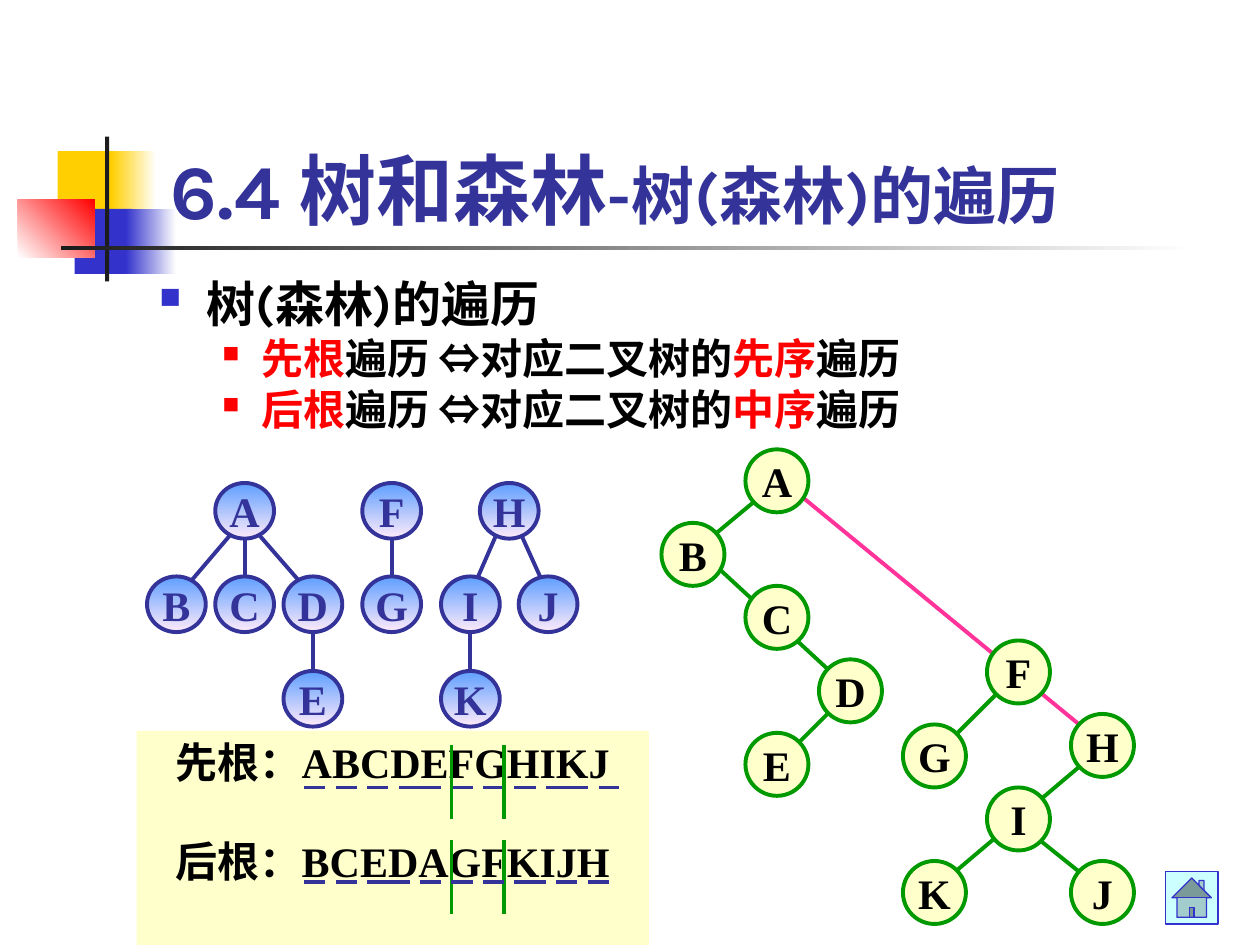
from lxml.etree import SubElement
from pptx import Presentation
from pptx.dml.color import RGBColor
from pptx.enum.shapes import MSO_CONNECTOR, MSO_SHAPE
from pptx.enum.text import MSO_ANCHOR, PP_ALIGN
from pptx.oxml.ns import qn
from pptx.util import Emu, Pt

PX = 7620
INDIGO, GREEN, PINK = "333399", "009900", "FF3399"
BLUE, YELLOW, RED = "3333CC", "FFCF01", "FF0000"
CREAM, BLACK, WHITE, DARK = "FFFFCC", "000000", "FFFFFF", "1C1C1C"
SKY = ("5E9EFF", "FFEBFA", 270)


def px(value):
    """Turn px into EMU."""
    return Emu(value * PX)


def rgb(color):
    """Turn a hex string into a colour."""
    return RGBColor.from_string(color)


class SlideBuilder:
    """Draws styled elements on one slide."""

    def __init__(self, slide, font="Karla", letter_font="Times New Roman", line_width=2.25):
        """Keep the slide and its style."""
        self.slide = slide
        self.font = font
        self.letter_font = letter_font
        self.line_width = line_width

    def shape(self, kind, box, fill, line=None, width=None):
        """Add a preset shape with a solid or (start, end, angle) fill."""
        shape = self.slide.shapes.add_shape(kind, *map(px, box))
        shape.shadow.inherit = False
        if isinstance(fill, tuple):
            shape.fill.gradient()
            shape.fill.gradient_angle = fill[2]
            for stop, color in zip(shape.fill.gradient_stops, fill):
                stop.color.rgb = rgb(color)
        else:
            shape.fill.solid()
            shape.fill.fore_color.rgb = rgb(fill)
        if line:
            shape.line.color.rgb = rgb(line)
            shape.line.width = Pt(width or self.line_width)
        else:
            shape.line.fill.background()
        return shape

    def line(self, x1, y1, x2, y2, color):
        """Add a straight line."""
        connector = self.slide.shapes.add_connector(
            MSO_CONNECTOR.STRAIGHT, *map(px, (x1, y1, x2, y2)))
        connector.line.color.rgb = rgb(color)
        connector.line.width = Pt(self.line_width)
        SubElement(connector._element.spPr, qn("a:effectLst"))

    def text_box(self, box, anchor):
        """Add a wrapping text box and return its frame."""
        frame = self.slide.shapes.add_textbox(*map(px, box)).text_frame
        frame.word_wrap = True
        frame.vertical_anchor = anchor
        return frame

    def style(self, paragraph, font, size, color=None):
        """Set the bold font shared by all runs of a paragraph."""
        paragraph.font.name = font
        paragraph.font.size = Pt(size)
        paragraph.font.bold = True
        if color:
            paragraph.font.color.rgb = rgb(color)

    def run(self, paragraph, text, color=None, size=None, font=None):
        """Add a run with its own differences."""
        run = paragraph.add_run()
        run.text = text
        if color:
            run.font.color.rgb = rgb(color)
        if size:
            run.font.size = Pt(size)
        if font:
            run.font.name = font

    def bullet(self, paragraph, color, percent, margin, indent, space):
        """Give a paragraph a square bullet and a hanging indent."""
        paragraph.line_spacing = 0.8
        paragraph.space_before = Pt(space)
        properties = paragraph._p.get_or_add_pPr()
        properties.set("marL", str(px(margin)))
        properties.set("indent", str(px(-indent)))
        marks = []
        bullet_color = SubElement(properties, qn("a:buClr"))
        SubElement(bullet_color, qn("a:srgbClr"), val=color)
        marks.append(bullet_color)
        marks.append(SubElement(properties, qn("a:buSzPct"), val=str(percent * 1000)))
        marks.append(SubElement(properties, qn("a:buChar"), char="■"))
        default = properties.find(qn("a:defRPr"))
        if default is not None:
            for mark in marks:
                default.addprevious(mark)

    def node(self, letter, center, size, fill, line, color):
        """Add a round tree node with its letter."""
        (x, y), (width, height) = center, size
        box = (x - width // 2, y - height // 2, width, height)
        frame = self.shape(MSO_SHAPE.OVAL, box, fill, line).text_frame
        frame.word_wrap = False
        frame.vertical_anchor = MSO_ANCHOR.MIDDLE
        paragraph = frame.paragraphs[0]
        paragraph.alignment = PP_ALIGN.CENTER
        self.style(paragraph, self.letter_font, 24, color)
        self.run(paragraph, letter)

    def tree(self, edges, nodes, size, fill, line, color):
        """Add the edges of a tree and then its nodes."""
        for *ends, edge_color in edges:
            self.line(*ends, edge_color)
        for letter, center in nodes.items():
            self.node(letter, center, size, fill, line, color)

    def dashes(self, x, y, widths, gap=10):
        """Add a row of underlines with equal gaps."""
        for width in widths:
            self.line(x, y, x + width, y, INDIGO)
            x += width + gap


def add_decoration(builder):
    """Draw the coloured blocks and rules beside the title."""
    for box, fill in (
        ((55, 144, 58, 62), YELLOW), ((106, 144, 43, 62), (YELLOW, WHITE, 0)),
        ((71, 199, 55, 62), BLUE), ((120, 199, 48, 62), (BLUE, WHITE, 0)),
        ((17, 190, 73, 55), (WHITE, RED, 45)), ((100, 130, 4, 138), DARK),
        ((58, 234, 1080, 4), (DARK, WHITE, 0)),
    ):
        builder.shape(MSO_SHAPE.RECTANGLE, box, fill)


def add_heading(builder):
    """Write the title and the bulleted text."""
    title = builder.text_box((151, 80, 1022, 150), MSO_ANCHOR.BOTTOM).paragraphs[0]
    builder.style(title, builder.font, 44, INDIGO)
    builder.run(title, "6.4 树和森林")
    builder.run(title, "-树(森林)的遍历", size=36)

    frame = builder.text_box((140, 265, 1040, 166), MSO_ANCHOR.TOP)
    topic = frame.paragraphs[0]
    builder.style(topic, builder.font, 28, BLACK)
    builder.bullet(topic, BLUE, 60, 45, 45, 7)
    builder.run(topic, "树(森林)的遍历")
    for order, binary_order in (("先根", "先序"), ("后根", "中序")):
        paragraph = frame.add_paragraph()
        builder.style(paragraph, builder.font, 24)
        builder.bullet(paragraph, RED, 55, 97, 37, 6)
        builder.run(paragraph, order, RED)
        builder.run(paragraph, "遍历 ", BLACK)
        builder.run(paragraph, "⇔", BLACK, font="Arial")
        builder.run(paragraph, "对应二叉树的", BLACK)
        builder.run(paragraph, binary_order, RED)
        builder.run(paragraph, "遍历", BLACK)


def add_trees(builder):
    """Draw the forest and its binary tree."""
    top, middle, bottom = 486, 575, 665
    forest_nodes = {
        "B": (168, middle), "C": (233, middle), "D": (298, middle), "G": (373, middle),
        "I": (448, middle), "J": (522, middle), "E": (298, bottom), "K": (448, bottom),
        "A": (233, top), "F": (373, top), "H": (485, top),
    }
    slanted = [(494, 504, 522, 566), (475, 504, 448, 566),
               (242, 504, 289, 558), (224, 504, 178, 558)]
    upright = [(448, 594, 448, 647), (298, 594, 298, 647),
               (373, 504, 373, 558), (233, 504, 233, 558)]
    forest_edges = [(*ends, INDIGO) for ends in slanted + upright]
    builder.tree(forest_edges, forest_nodes, (56, 53), SKY, INDIGO, INDIGO)

    binary_nodes = {
        "A": (740, 458), "B": (660, 528), "D": (810, 658), "C": (740, 588),
        "E": (740, 728), "H": (1050, 710), "I": (970, 780), "K": (890, 850),
        "J": (1050, 850), "F": (970, 640), "G": (890, 720),
    }
    binary_edges = [
        (760, 470, 1040, 700, PINK), (800, 668, 750, 718, GREEN),
        (670, 528, 800, 648, GREEN), (730, 468, 670, 518, GREEN),
        (990, 800, 1040, 840, GREEN), (1040, 720, 910, 830, GREEN),
        (960, 650, 900, 710, GREEN),
    ]
    builder.tree(binary_edges, binary_nodes, (60, 60), CREAM, GREEN, BLACK)


def add_sequences(builder):
    """Write the two traversal sequences with their marks."""
    frame = builder.shape(MSO_SHAPE.RECTANGLE, (130, 696, 488, 204), CREAM).text_frame
    frame.word_wrap = True
    frame.vertical_anchor = MSO_ANCHOR.TOP
    sequences = ("先根：ABCDEFGHIKJ", "后根：BCEDAGFKIJH")
    for index, sequence in enumerate(sequences):
        paragraph = frame.add_paragraph() if index else frame.paragraphs[0]
        paragraph.alignment = PP_ALIGN.CENTER
        paragraph.space_after = Pt(27.6)
        builder.style(paragraph, builder.letter_font, 24, BLACK)
        builder.run(paragraph, sequence)
    builder.dashes(290, 750, (20, 20, 20, 40, 20, 20, 20, 40, 20))
    for y in (710, 800):
        for x in (430, 480):
            builder.line(x, y, x, y + 70, GREEN)
    builder.dashes(290, 840, (20, 20, 40, 20, 20, 20, 30, 20, 20))


def main():
    """Build and save the slide."""
    presentation = Presentation()
    presentation.slide_width, presentation.slide_height = px(1200), px(900)
    builder = SlideBuilder(presentation.slides.add_slide(presentation.slide_layouts[6]))
    add_decoration(builder)
    add_heading(builder)
    add_trees(builder)
    add_sequences(builder)
    builder.shape(MSO_SHAPE.ACTION_BUTTON_HOME, (1110, 830, 50, 50), "CCFFFF", BLUE, 0.75)
    presentation.save("out.pptx")


if __name__ == "__main__":
    main()
